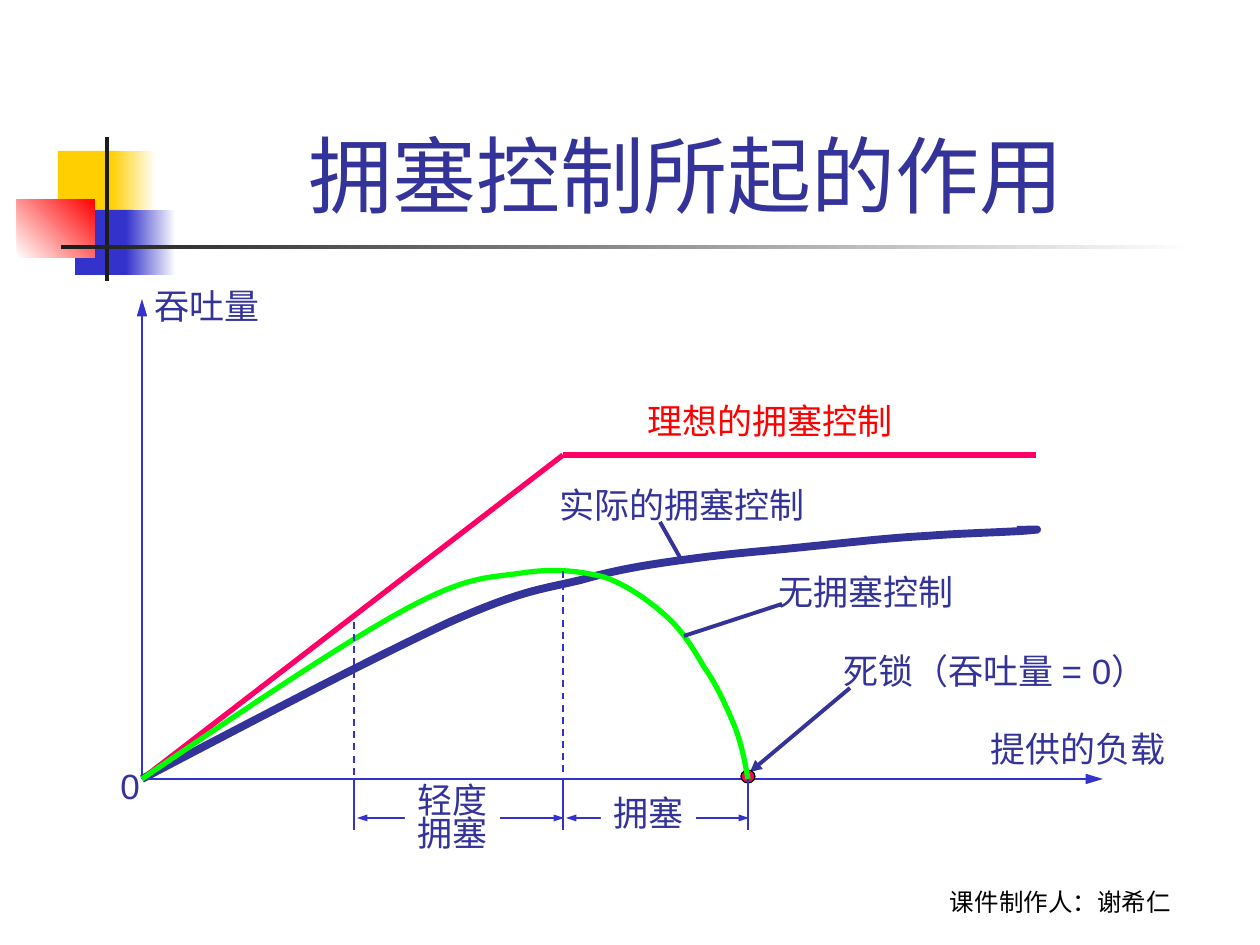
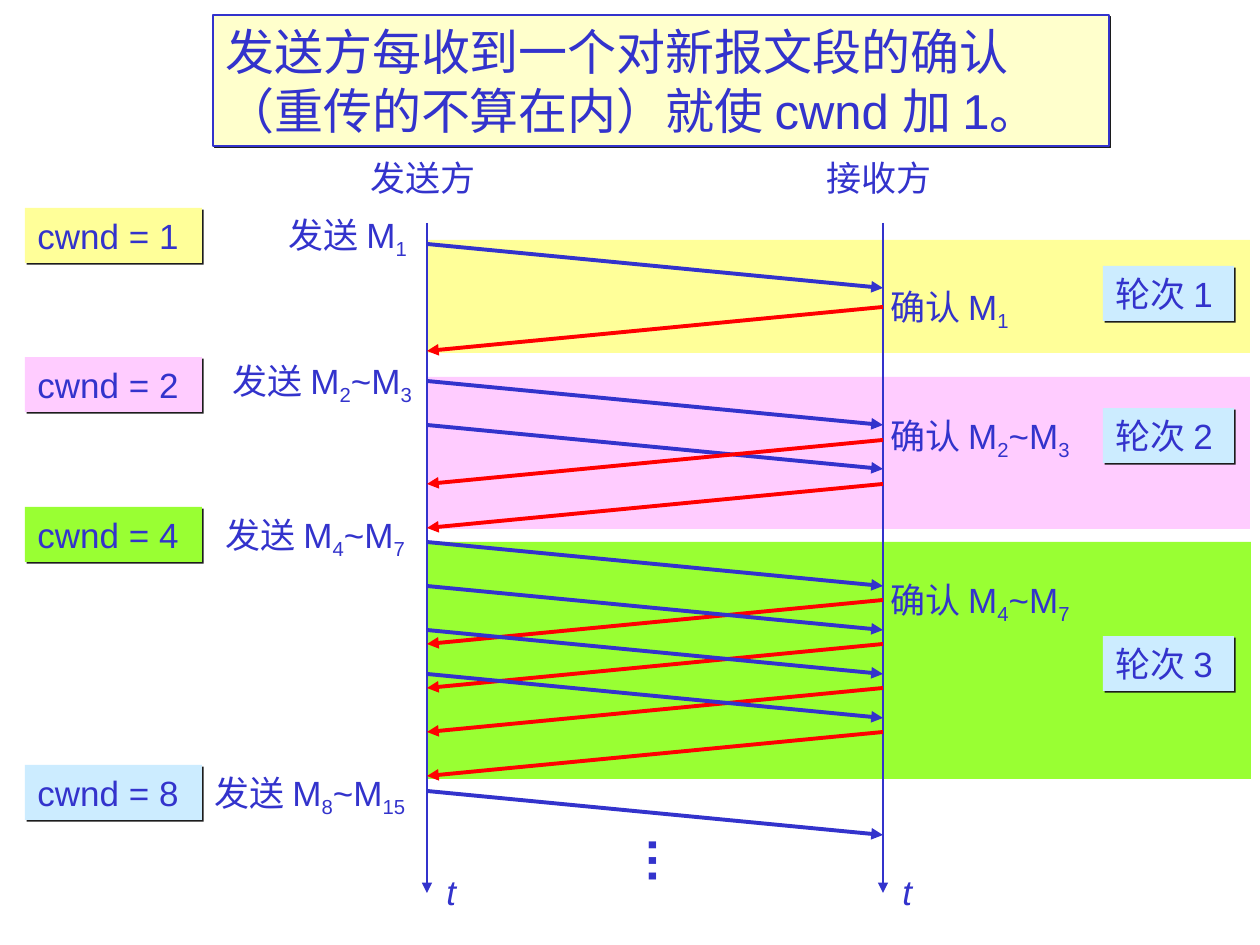
from lxml import etree
from pptx import Presentation
from pptx.dml.color import RGBColor
from pptx.enum.dml import MSO_LINE_DASH_STYLE as Dash
from pptx.enum.shapes import MSO_CONNECTOR_TYPE as Connector, MSO_SHAPE as Preset
from pptx.enum.text import MSO_ANCHOR as Anchor, MSO_AUTO_SIZE as AutoSize, PP_ALIGN as Align
from pptx.oxml.ns import qn
from pptx.util import Pt

EMU_PER_PIXEL = 914400 / 126
BLUE = RGBColor(0x33, 0x33, 0xCC)
NAVY = RGBColor(0x33, 0x33, 0x99)
RED = RGBColor(0xFF, 0x00, 0x00)
PINK = RGBColor(0xFF, 0x00, 0x66)
GREEN = RGBColor(0x00, 0xFF, 0x00)
GOLD = RGBColor(0xFF, 0xCF, 0x01)
DARK = RGBColor(0x1C, 0x1C, 0x1C)
BLACK = RGBColor(0x00, 0x00, 0x00)
WHITE = RGBColor(0xFF, 0xFF, 0xFF)
YELLOW = RGBColor(0xFF, 0xFF, 0x99)
LILAC = RGBColor(0xFF, 0xCC, 0xFF)
LIME = RGBColor(0x99, 0xFF, 0x33)
SKY = RGBColor(0xCC, 0xEC, 0xFF)
CREAM = RGBColor(0xFF, 0xFF, 0xCC)

THIN, MEDIUM = 0.74, 2.24
ARROW = {"type": "triangle"}
LONG_ARROW = {"type": "triangle", "w": "med", "len": "lg"}
SLIM_ARROW = {"type": "triangle", "w": "sm", "len": "med"}
SENDER_X, RECEIVER_X = 427, 883
SEGMENT_GAP = TRANSIT = 44
LABEL_HEIGHT = 55


def px(value):
    return round(value * EMU_PER_PIXEL)


def apply(target, formats):
    for name, value in formats.items():
        setattr(target, name, value)


def style_line(line, color, width):
    line.color.rgb = color
    line.width = Pt(width)


def add_block(slide, box, fill, fill_end=None, angle=0, preset=Preset.RECTANGLE):
    shape = slide.shapes.add_shape(preset, *map(px, box))
    shape.shadow.inherit = False
    shape.line.fill.background()
    if fill_end is None:
        shape.fill.solid()
        shape.fill.fore_color.rgb = fill
    else:
        shape.fill.gradient()
        shape.fill.gradient_angle = angle
        for stop, color, position in zip(shape.fill.gradient_stops, (fill, fill_end), (0, 1)):
            stop.color.rgb = color
            stop.position = position
    return shape


def add_line(slide, start, end, color, width, head=None, tail=None, dash=None):
    connector = slide.shapes.add_connector(Connector.STRAIGHT, *map(px, (*start, *end)))
    style_line(connector.line, color, width)
    if dash:
        connector.line.dash_style = dash
    properties = connector._element.spPr
    outline = properties.find(qn("a:ln"))
    for tag, arrow in (("a:headEnd", head), ("a:tailEnd", tail)):
        if arrow:
            etree.SubElement(outline, qn(tag), arrow)
    etree.SubElement(properties, qn("a:effectLst"))


def add_curve(slide, start, segments, color, width):
    builder = slide.shapes.build_freeform(*map(px, start))
    builder.add_line_segments(
        [tuple(map(px, point)) for segment in segments for point in segment], close=False)
    shape = builder.convert_to_shape()
    corners = list(shape._element.iter(qn("a:lnTo")))
    for first in range(0, len(corners), 3):
        bezier = etree.Element(qn("a:cubicBezTo"))
        corners[first].addprevious(bezier)
        for corner in corners[first:first + 3]:
            bezier.append(corner[0])
            corner.getparent().remove(corner)
    shape.shadow.inherit = False
    shape.fill.background()
    style_line(shape.line, color, width)


def add_text(slide, box, text, color=BLUE, size=20, fill=None, align=Align.LEFT,
             spacing=None, frame=None, **font):
    shape = slide.shapes.add_textbox(*map(px, box))
    if fill is not None:
        shape.fill.solid()
        shape.fill.fore_color.rgb = fill
    text_frame = shape.text_frame
    apply(text_frame, {"word_wrap": False, "auto_size": AutoSize.NONE, **(frame or {})})
    for number, line in enumerate(text.split("\n")):
        paragraph = text_frame.add_paragraph() if number else text_frame.paragraphs[0]
        apply(paragraph, {"alignment": align, "line_spacing": spacing})
        for index, part in enumerate(line.split("_")):
            if part:
                run = paragraph.add_run()
                run.text = part
                apply(run.font, {"name": "Arial", "size": Pt(size), **font})
                run.font.color.rgb = color
                if index % 2:
                    run.font._element.set("baseline", "-25000")
    return shape


def add_shadow(shape):
    effects = etree.SubElement(shape._element.spPr, qn("a:effectLst"))
    shadow = etree.SubElement(effects, qn("a:outerShdw"), dist=str(Pt(1.4)),
                              dir="2700000", algn="ctr", rotWithShape="0")
    etree.SubElement(shadow, qn("a:srgbClr"), val=str(DARK))


def add_card(slide, box, text, fill):
    add_shadow(add_text(slide, box, text, fill=fill, frame={"vertical_anchor": Anchor.MIDDLE}))


def add_title_decoration(slide):
    add_block(slide, (58, 151, 60, 66), GOLD)
    add_block(slide, (111, 151, 45, 66), GOLD, WHITE)
    add_block(slide, (75, 210, 58, 65), BLUE)
    add_block(slide, (126, 210, 50, 65), BLUE, WHITE)
    add_block(slide, (17, 199, 78, 59), WHITE, RED, angle=45)
    add_block(slide, (105, 137, 4, 144), DARK)
    add_block(slide, (61, 245, 1134, 4), DARK, WHITE)


def build_congestion_slide(slide):
    add_title_decoration(slide)
    bottom = {"vertical_anchor": Anchor.BOTTOM, "word_wrap": True}
    add_text(slide, (861, 860, 399, 63), "课件制作人：谢希仁", BLACK, 14,
             align=Align.CENTER, frame=bottom, name="Lato")
    add_text(slide, (159, 29, 1073, 202), "拥塞控制所起的作用 ", NAVY, 48,
             align=Align.CENTER, frame=bottom)

    origin, knee = (142, 779), (563, 455)
    add_line(slide, origin, (142, 299), BLUE, 1.5, tail=LONG_ARROW)
    add_line(slide, origin, knee, PINK, 3)
    add_line(slide, knee, (1036, 455), PINK, 3)
    add_curve(slide, origin, [
        ((260, 717), (377, 656), (450, 622)),
        ((523, 590), (539, 590), (581, 580)),
        ((622, 568), (660, 563), (698, 558)),
        ((736, 553), (767, 551), (805, 547)),
        ((845, 543), (888, 538), (926, 536)),
        ((964, 533), (1018, 532), (1033, 530)),
        ((1048, 529), (1019, 530), (1017, 530)),
    ], NAVY, 4.5)
    add_line(slide, (660, 522), (682, 561), NAVY, MEDIUM)
    add_line(slide, origin, (1103, 779), BLUE, 1.5, tail=LONG_ARROW)
    add_line(slide, (850, 688), (750, 772), NAVY, MEDIUM, tail=ARROW)
    deadlock = add_block(slide, (741, 770, 14, 13), PINK, preset=Preset.OVAL)
    style_line(deadlock.line, BLACK, THIN)

    mild_x, heavy_x, deadlock_x = 354, 563, 748
    for start, end in ((mild_x, heavy_x), (heavy_x, deadlock_x)):
        add_line(slide, (start + 3, 818), (end + 1, 818), BLUE, THIN,
                 head=SLIM_ARROW, tail=SLIM_ARROW)
    add_curve(slide, origin, [
        ((242, 711), (343, 643), (406, 609)),
        ((469, 575), (489, 578), (522, 573)),
        ((554, 568), (580, 571), (604, 577)),
        ((627, 585), (648, 600), (665, 615)),
        ((682, 630), (693, 648), (704, 667)),
        ((717, 685), (727, 708), (735, 727)),
        ((742, 746), (745, 762), (748, 779)),
    ], GREEN, 3)
    for x, top in ((mild_x, 622), (heavy_x, 571)):
        add_line(slide, (x, top), (x, 779), BLUE, 0.99, dash=Dash.DASH)
    for x in (mild_x, heavy_x, deadlock_x):
        add_line(slide, (x, 779), (x, 830), BLUE, THIN)
    add_line(slide, (782, 604), (684, 636), NAVY, MEDIUM)

    for left, top, width, text, color in (
        (978, 721, 200, "提供的负载", NAVY),
        (142, 278, 130, "吞吐量", NAVY),
        (635, 393, 271, "理想的拥塞控制", RED),
        (547, 477, 271, "实际的拥塞控制", NAVY),
        (108, 758, 44, "0", NAVY),
        (831, 643, 345, "死锁（吞吐量 = 0）", NAVY),
        (766, 564, 200, "无拥塞控制", NAVY),
    ):
        add_text(slide, (left, top, width, LABEL_HEIGHT), text, color)
    add_text(slide, (601, 785, 95, LABEL_HEIGHT), "拥塞", NAVY, fill=WHITE)
    add_text(slide, (405, 780, 95, 80), "轻度\n拥塞", NAVY, fill=WHITE, spacing=0.8)


def build_slow_start_slide(slide):
    for box, fill in (((427, 377, 823, 152), LILAC), ((428, 542, 823, 237), LIME),
                      ((427, 240, 823, 113), YELLOW)):
        add_block(slide, box, fill)
    for x in (SENDER_X, RECEIVER_X):
        add_line(slide, (x, 223), (x, 893), BLUE, THIN, tail=ARROW)
        add_text(slide, (x + 7, 864, 35, 54), "t", italic=True)
    add_text(slide, (358, 150, 130, LABEL_HEIGHT), "发送方")
    add_text(slide, (814, 150, 130, LABEL_HEIGHT), "接收方")

    sending = (SENDER_X, RECEIVER_X, BLUE)
    confirming = (RECEIVER_X, SENDER_X, RED)
    for (start_x, end_x, color), top, count in (
        (sending, 244, 1), (sending, 381, 2), (sending, 791, 1),
        (confirming, 307, 1), (confirming, 440, 2), (confirming, 600, 4),
        (sending, 542, 4),
    ):
        for index in range(count):
            y = top + index * SEGMENT_GAP
            add_line(slide, (start_x, y), (end_x, y + TRANSIT), color, MEDIUM, tail=ARROW)

    for left, top, width, text in (
        (276, 207, 151, "发送 M_1_"), (220, 353, 213, "发送 M_2_~M_3_"),
        (213, 507, 213, "发送 M_4_~M_7_"), (202, 765, 224, "发送 M_8_~M_15_"),
        (870, 279, 161, " 确认 M_1_"), (870, 408, 228, " 确认 M_2_~M_3 _"),
        (870, 572, 228, " 确认 M_4_~M_7 _"),
    ):
        add_text(slide, (left, top, width, 60), text)
    for top, window, fill in ((208, 1, YELLOW), (357, 2, LILAC), (507, 4, LIME), (765, 8, SKY)):
        add_card(slide, (25, top, 177, LABEL_HEIGHT), f"cwnd = {window} ", fill)
    for number, top in enumerate((266, 408, 636), 1):
        add_card(slide, (1103, top, 131, LABEL_HEIGHT), f"轮次 {number}", SKY)

    add_text(slide, (631, 825, 74, 72), "…", size=28, bold=True).rotation = 90
    rule = add_text(slide, (213, 15, 896, 131),
                    "发送方每收到一个对新报文段的确认\n（重传的不算在内）就使 cwnd 加 1。 ",
                    size=28, fill=CREAM, frame={"word_wrap": True})
    style_line(rule.line, BLUE, THIN)
    add_shadow(rule)


def main():
    presentation = Presentation()
    apply(presentation, {"slide_width": px(1260), "slide_height": px(945)})
    blank = presentation.slide_layouts[6]
    for build in (build_congestion_slide, build_slow_start_slide):
        build(presentation.slides.add_slide(blank))
    presentation.save("out.pptx")


main()
